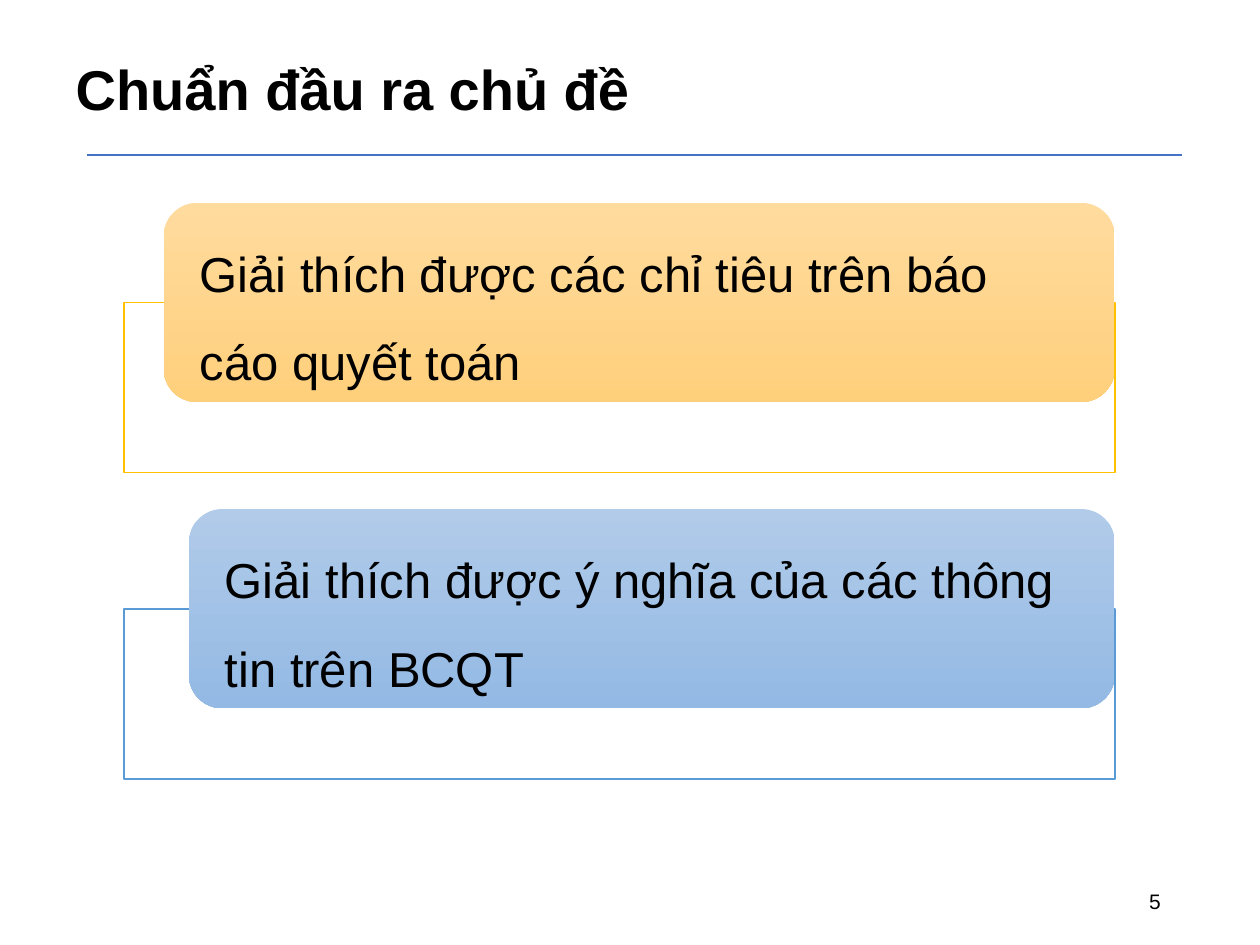
import pptx
import pptx.util
import pptx.dml.color
import pptx.enum.shapes
import pptx.enum.text
import pptx.oxml

Pt = pptx.util.Pt
RGB = pptx.dml.color.RGBColor
Kind = pptx.enum.shapes.MSO_SHAPE
Align = pptx.enum.text.PP_ALIGN
Anchor = pptx.enum.text.MSO_ANCHOR

BLACK = RGB(0x00, 0x00, 0x00)
WHITE = RGB(0xFF, 0xFF, 0xFF)
RULE = RGB(0x44, 0x72, 0xC4)
GOLD = RGB(0xFF, 0xC0, 0x00)
GOLD_TOP = RGB(0xFF, 0xDB, 0x9E)
GOLD_LOW = RGB(0xFF, 0xD0, 0x7C)
BLUE = RGB(0x5B, 0x9B, 0xD5)
BLUE_TOP = RGB(0xB1, 0xCB, 0xE9)
BLUE_LOW = RGB(0x93, 0xB9, 0xE4)

FRAME_H = 97.2
LABEL_H = 113.8
DROP = 56.9  # from label top to frame top


def write(frame, text, size, align, bold=False):
    frame.word_wrap = True
    frame.vertical_anchor = Anchor.MIDDLE
    para = frame.paragraphs[0]
    para.text = text
    para.alignment = align
    font = para.font
    font.name, font.size, font.bold = "Arial", Pt(size), bold
    font.color.rgb = BLACK
    return para


def add_head(slide, left, top, width, height, text):
    # Title
    title = slide.shapes.title
    title.left, title.top = Pt(left), Pt(top)
    title.width, title.height = Pt(width), Pt(height)
    title.text_frame.auto_size = pptx.enum.text.MSO_AUTO_SIZE.NONE
    write(title.text_frame, text, 32, Align.LEFT, True)

    # Rule below the title
    line = slide.shapes.add_connector(
        pptx.enum.shapes.MSO_CONNECTOR.STRAIGHT,
        Pt(49.7), Pt(88.5), Pt(675.4), Pt(88.5))
    line.line.color.rgb = RULE
    line.line.width = Pt(1.5)
    props = line._element.spPr
    props.append(pptx.oxml.parse_xml(
        '<a:effectLst xmlns:a='
        '"http://schemas.openxmlformats.org/drawingml/2006/main"/>'))


def add_goal(slide, left, top, width, inset, text, edge, light, dark):
    # Outlined frame
    frame = slide.shapes.add_shape(
        Kind.RECTANGLE, Pt(left), Pt(top + DROP), Pt(width), Pt(FRAME_H))
    frame.shadow.inherit = False
    frame.fill.solid()
    frame.fill.fore_color.rgb = WHITE
    frame.line.color.rgb = edge
    frame.line.width = Pt(1)

    # Shaded label, flush with the right edge of the frame
    label = slide.shapes.add_shape(
        Kind.ROUNDED_RECTANGLE, Pt(left + inset), Pt(top),
        Pt(width - inset), Pt(LABEL_H))
    label.shadow.inherit = False
    label.line.fill.background()
    label.fill.gradient()
    label.fill.gradient_angle = 270
    for stop, color in zip(label.fill.gradient_stops, (light, dark)):
        stop.color.rgb = color
    body = label.text_frame
    body.margin_left = body.margin_right = Pt(15)
    body.margin_top = body.margin_bottom = 0
    para = write(body, text, 28, Align.LEFT)
    para.line_spacing = 1.5
    para.space_after = Pt(9.8)


def add_page(slide, left, top, width, height, text):
    box = slide.shapes.add_textbox(Pt(left), Pt(top), Pt(width), Pt(height))
    write(box.text_frame, text, 12, Align.RIGHT)


def main():
    deck = pptx.Presentation()
    deck.slide_width, deck.slide_height = Pt(720), Pt(540)
    slide = deck.slides.add_slide(deck.slide_layouts[5])
    add_head(slide, 36, 27.4, 343, 46, "Chuẩn đầu ra chủ đề")
    goals = [
        (22.6, "Giải thích được các chỉ tiêu trên báo cáo quyết toán",
         GOLD, GOLD_TOP, GOLD_LOW),
        (37, "Giải thích được ý nghĩa của các thông tin trên BCQT",
         BLUE, BLUE_TOP, BLUE_LOW),
    ]
    for row, goal in enumerate(goals):
        add_goal(slide, 71, 115.9 + row * 175, 566, *goal)
    add_page(slide, 508.3, 500.4, 162, 28.8, "5")
    deck.save("out.pptx")


if __name__ == "__main__":
    main()
